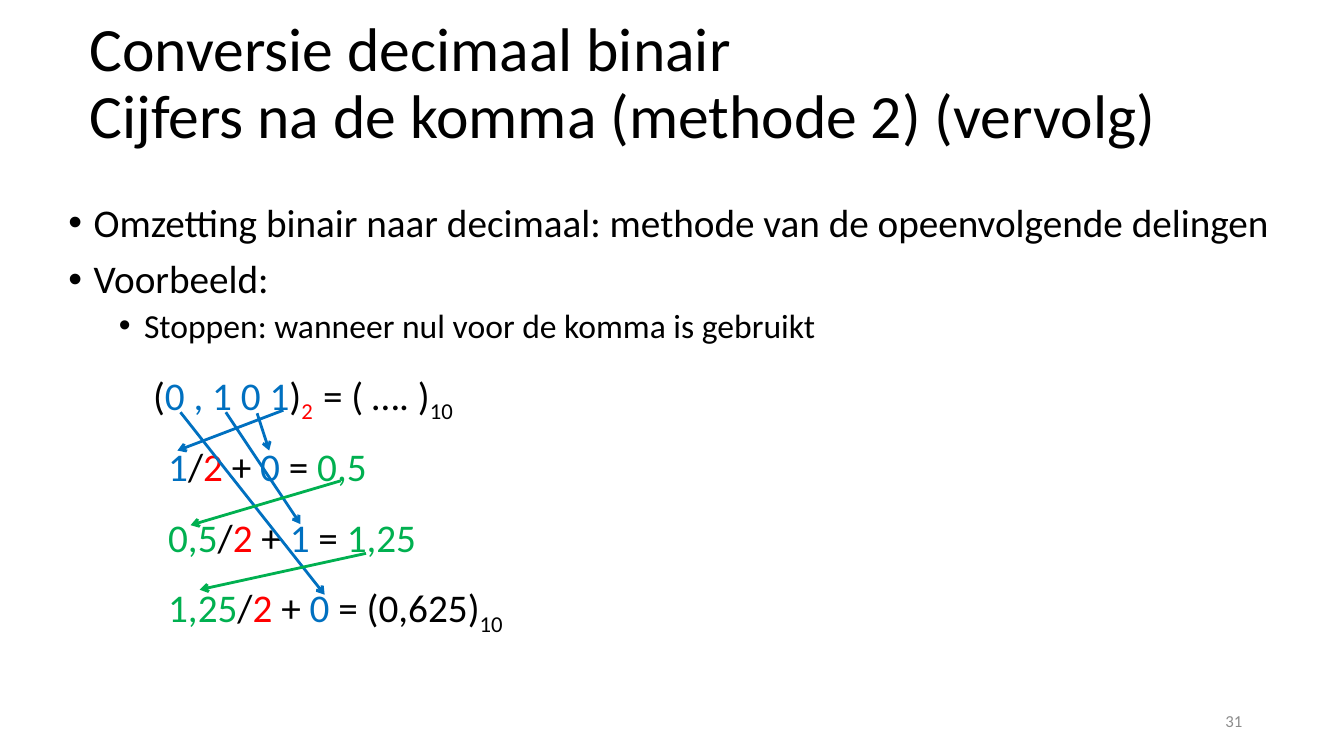
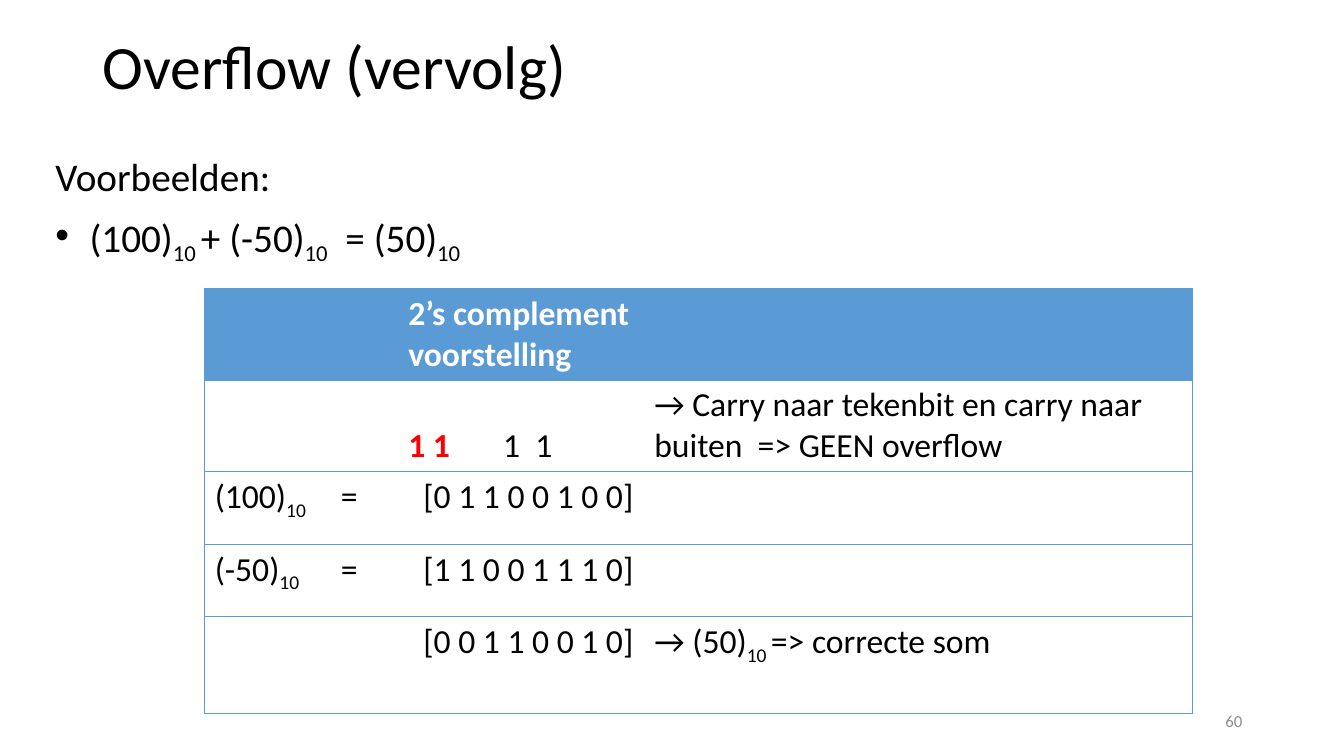
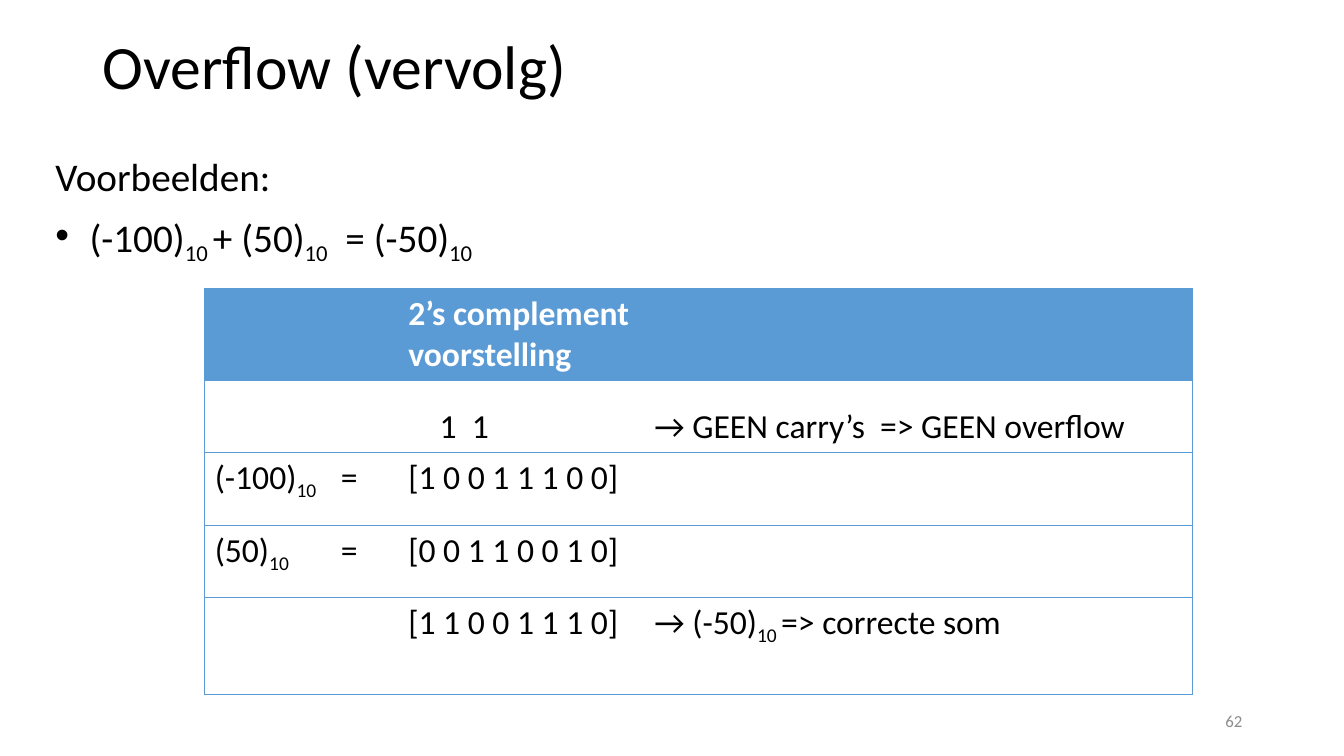
from lxml.etree import SubElement
from pptx import Presentation
from pptx.dml.color import RGBColor
from pptx.enum.shapes import MSO_CONNECTOR
from pptx.enum.text import MSO_ANCHOR as Anchor, PP_ALIGN as Align
from pptx.oxml.ns import qn
from pptx.util import Inches, Pt

# Shared look
FONT = "Calibri"
BLACK, WHITE, GREY = "000000", "FFFFFF", "8C8C8C"
BLUE, RED, GREEN, TABLE_BLUE = "0070C0", "FF0000", "00B050", "5B9BD5"
NO_STYLE = "{2D5ABB26-0587-4C30-8999-92F81FD0307C}"
COLUMN_WIDTHS = (1.25, 0.67, 2.44, 5.44)


def rgb(value):
    return RGBColor.from_string(value)


# Text: a run is a plain string or a (text, colour, subscript) tuple
def sub(text, colour=None):
    return text, colour, True


def number(value):
    return [f"({value})", sub("10")]


def set_bullet(paragraph, indent, hanging):
    properties = paragraph._p.get_or_add_pPr()
    properties.set("marL", str(Inches(indent)))
    properties.set("indent", str(-Inches(hanging)))
    if hanging:
        SubElement(properties, qn("a:buFont"), typeface="Arial")
        SubElement(properties, qn("a:buChar"), char="•")


def set_tabs(paragraph, stops):
    tab_list = SubElement(paragraph._p.get_or_add_pPr(), qn("a:tabLst"))
    for stop in stops:
        SubElement(tab_list, qn("a:tab"), pos=str(Inches(stop)), algn="l")


def write(paragraph, runs, size, colour=BLACK, bold=False):
    font = paragraph.font
    font.name, font.size, font.bold = FONT, Pt(size), bold
    font.color.rgb = rgb(colour)
    for item in runs:
        text, run_colour, subscript = (item, None, False) if isinstance(item, str) else item
        run = paragraph.add_run()
        run.text = text
        if run_colour:
            run.font.color.rgb = rgb(run_colour)
        if subscript:
            run.font._element.set("baseline", "-25000")


def add_box(slide, left, top, width, height, anchor=Anchor.TOP):
    box = slide.shapes.add_textbox(Inches(left), Inches(top), Inches(width), Inches(height))
    frame = box.text_frame
    frame.word_wrap = True
    frame.vertical_anchor = anchor
    return frame


def add_title(slide, left, top, *lines):
    paragraph = add_box(slide, left, top, 11.5, 1.45, Anchor.MIDDLE).paragraphs[0]
    paragraph.line_spacing = 0.9
    for index, line in enumerate(lines):
        if index:
            paragraph.add_line_break()
        write(paragraph, [line], 44)


def add_body(slide, position, items):
    """Each item is (runs, size, indent, hanging, space before)."""
    frame = add_box(slide, *position)
    for index, (runs, size, indent, hanging, space) in enumerate(items):
        paragraph = frame.add_paragraph() if index else frame.paragraphs[0]
        paragraph.line_spacing = 0.9
        if index:
            paragraph.space_before = Pt(space)
        set_bullet(paragraph, indent, hanging)
        write(paragraph, runs, size)


def add_formula(slide, left, top, width, runs):
    write(add_box(slide, left, top, width, 0.57).paragraphs[0], runs, 28)


def add_page_number(slide, page):
    paragraph = add_box(slide, 9.42, 6.95, 3, 0.4, Anchor.MIDDLE).paragraphs[0]
    paragraph.alignment = Align.RIGHT
    write(paragraph, [str(page)], 12, GREY)


def add_arrow(slide, colour, *points):
    connector = slide.shapes.add_connector(MSO_CONNECTOR.STRAIGHT, *map(Inches, points))
    connector.line.width = Pt(2)
    connector.line.color.rgb = rgb(colour)
    SubElement(connector.line._get_or_add_ln(), qn("a:tailEnd"), type="arrow")
    SubElement(connector._element.spPr, qn("a:effectLst"))


# Table
def set_borders(cell, sides):
    properties = cell._tc.get_or_add_tcPr()
    for side in sides:
        line = SubElement(properties, qn(f"a:ln{side}"), w=str(Pt(0.5)))
        fill = SubElement(line, qn("a:solidFill"))
        SubElement(fill, qn("a:srgbClr"), val=TABLE_BLUE)


def add_sum_table(slide, row_heights, rows, bit_indent, carry_tabs):
    frame = slide.shapes.add_table(len(rows), len(COLUMN_WIDTHS), Inches(2.03), Inches(2.86),
                                   Inches(sum(COLUMN_WIDTHS)), Inches(sum(row_heights)))
    table = frame.table
    table.horz_banding = False
    table._tbl.tblPr.find(qn("a:tableStyleId")).text = NO_STYLE
    for column, width in zip(table.columns, COLUMN_WIDTHS):
        column.width = Inches(width)
    last = len(COLUMN_WIDTHS) - 1
    for r, (height, row) in enumerate(zip(row_heights, rows)):
        table.rows[r].height = Inches(height)
        for c, runs in enumerate(row):
            cell = table.cell(r, c)
            set_borders(cell, ("L" if c == 0 else "") + ("R" if c == last else "") + "TB")
            cell.fill.solid()
            cell.fill.fore_color.rgb = rgb(WHITE if r else TABLE_BLUE)
            if not runs:
                continue
            paragraph = cell.text_frame.paragraphs[0]
            if r == 1:
                cell.vertical_anchor = Anchor.BOTTOM
                if c == 2:
                    set_tabs(paragraph, carry_tabs)
            elif r and c == 2:
                set_bullet(paragraph, bit_indent, 0)
            write(paragraph, runs, 24, BLACK if r else WHITE, bold=r == 0 or (r, c) == (1, 2) and len(runs) > 1)
            if r == 1 and len(runs) > 1:
                paragraph.runs[-1].font.bold = False


# Slides
def conversion_slide(slide):
    add_title(slide, 0.79, 0.12, "Conversie decimaal binair",
              "Cijfers na de komma (methode 2) (vervolg)")
    add_body(slide, (0.58, 1.97, 12.39, 5.5), [
        (["Omzetting binair naar decimaal: methode van de opeenvolgende delingen"], 28, 0.25, 0.25, 0),
        (["Voorbeeld:"], 28, 0.25, 0.25, 10),
        (["Stoppen: wanneer nul voor de komma is gebruikt"], 24, 0.75, 0.25, 5),
    ])
    add_formula(slide, 1.42, 3.63, 3.76, [
        "(", ("0 , 1 0 1", BLUE, False), ")", sub("2  ", RED), "= ( …. )", sub("10")])
    steps = [
        ("1", BLUE, "0", [" = ", ("0,5", GREEN, False)], 2.2),
        ("0,5", GREEN, "1", [" = ", ("1,25", GREEN, False)], 2.7),
        ("1,25", GREEN, "0", [" = (0,625)", sub("10")], 3.6),
    ]
    for index, (start, colour, bit, result, width) in enumerate(steps):
        add_formula(slide, 1.57, 4.34 + 0.7 * index, width, [
            (start, colour, False), "/", ("2", RED, False), " + ", (bit, BLUE, False), *result])
    for colour, *points in [
        (BLUE, 1.79, 4.09, 3.22, 5.9),
        (BLUE, 2.81, 4.07, 1.76, 4.47),
        (BLUE, 2.55, 4.1, 2.67, 4.47),
        (BLUE, 2.24, 4.09, 2.98, 5.2),
        (GREEN, 3.38, 4.77, 1.89, 5.21),
        (GREEN, 3.63, 5.49, 1.98, 5.85),
    ]:
        add_arrow(slide, colour, *points)


def overflow_slide(slide, terms, bits, carries, carry_tabs, remark, carry_height, bit_indent):
    first, second, total = terms
    add_title(slide, 0.92, -0.04, "Overflow (vervolg)")
    add_body(slide, (0.45, 1.51, 11.96, 5.24), [
        (["Voorbeelden:"], 28, 0, 0, 0),
        ([f"({first})", sub("10 "), f"+ ({second})", sub("10"), f"  = ({total})", sub("10")],
         28, 0.34, 0.34, 10),
    ])
    rows = [
        [[], [], ["2’s complement voorstelling"], []],
        [[], [], carries, [remark]],
        [number(first), ["="], [bits[0]], []],
        [number(second), ["="], [bits[1]], []],
        [[], [], [bits[2]], [f"→ ({total})", sub("10 "), "=> correcte som"]],
    ]
    add_sum_table(slide, (0.91, carry_height, 0.72, 0.72, 0.96), rows, bit_indent, carry_tabs)


def main():
    presentation = Presentation()
    presentation.slide_width, presentation.slide_height = Inches(13.33), Inches(7.5)
    pages = {}
    for page in (31, 60, 62):
        pages[page] = presentation.slides.add_slide(presentation.slide_layouts[6])
        add_page_number(pages[page], page)

    conversion_slide(pages[31])
    overflow_slide(pages[60], (100, -50, 50),
                   ("[0 1 1 0 0 1 0 0]", "[1 1 0 0 1 1 1 0]", "[0 0 1 1 0 0 1 0]"),
                   [("1 1", RED, False), "\t1\t1"], (0.94, 1.26),
                   "→ Carry naar tekenbit en carry naar buiten  => GEEN overflow", 0.91, 0.15)
    overflow_slide(pages[62], (-100, 50, -50),
                   ("[1 0 0 1 1 1 0 0]", "[0 0 1 1 0 0 1 0]", "[1 1 0 0 1 1 1 0]"),
                   ["\t1\t1"], (0.31, 0.63),
                   "→ GEEN carry’s  => GEEN overflow", 0.72, 0)
    presentation.save("out.pptx")


if __name__ == "__main__":
    main()
